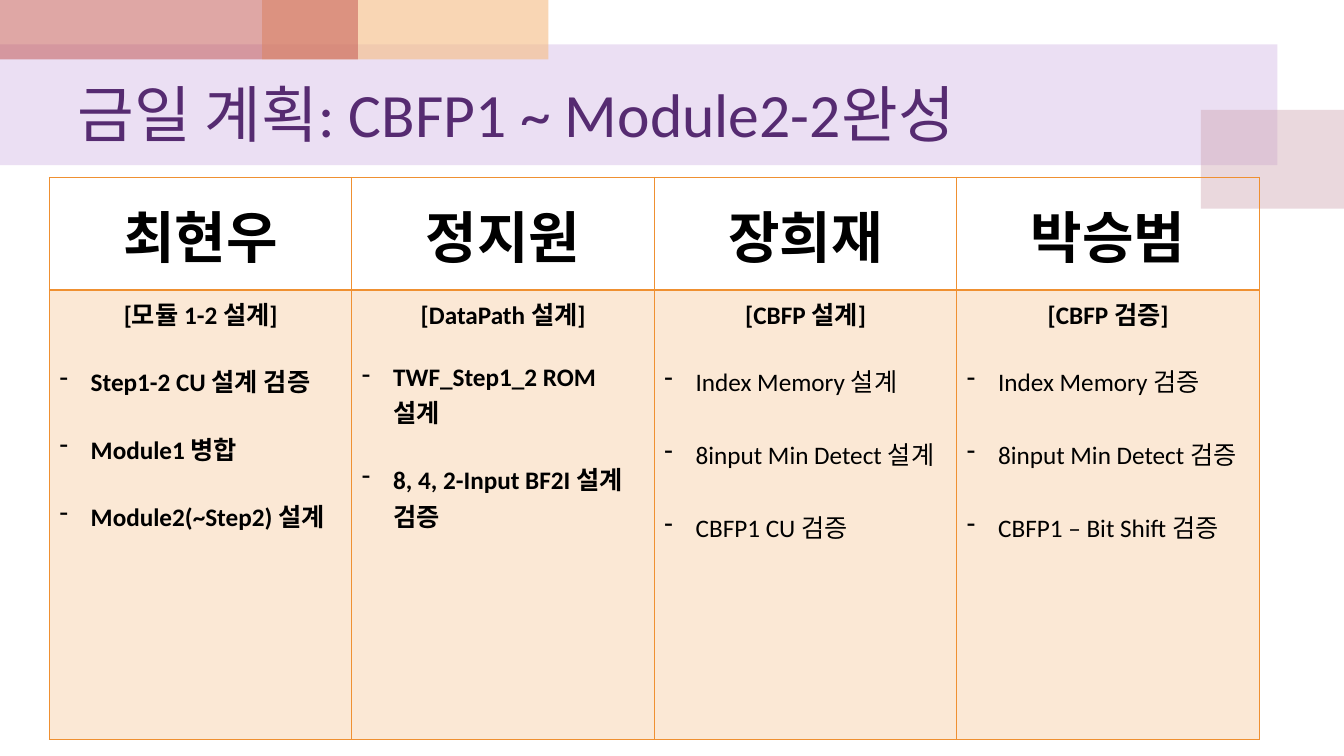
from lxml.etree import SubElement
from pptx import Presentation
from pptx.dml.color import RGBColor
from pptx.enum.shapes import MSO_SHAPE
from pptx.enum.text import MSO_ANCHOR, PP_ALIGN
from pptx.oxml import parse_xml
from pptx.oxml.ns import nsdecls, qn
from pptx.util import Inches, Pt

TITLE = "금일 계획: CBFP1 ~ Module2-2완성"
PLANS = [
    {"name": "최현우", "topic": "[모듈 1-2 설계]", "bold": True, "gap": 22,
     "tasks": ["Step1-2 CU 설계 검증", "Module1 병합", "Module2(~Step2) 설계"]},
    {"name": "정지원", "topic": "[DataPath 설계]", "bold": True, "gap": 22,
     "tasks": ["TWF_Step1_2 ROM 설계", "8, 4, 2-Input BF2I 설계 검증"]},
    {"name": "장희재", "topic": "[CBFP 설계]", "bold": False, "gap": 26,
     "tasks": ["Index Memory 설계", "8input Min Detect 설계", "CBFP1 CU 검증"]},
    {"name": "박승범", "topic": "[CBFP 검증]", "bold": False, "gap": 26,
     "tasks": ["Index Memory 검증", "8input Min Detect 검증", "CBFP1 – Bit Shift 검증"]},
]

FONT = "Calibri"
BLACK = RGBColor(0x00, 0x00, 0x00)
PURPLE = RGBColor(0x56, 0x2B, 0x71)
LAVENDER = RGBColor(0xBF, 0x98, 0xD8)
PINK = RGBColor(0xCC, 0x9E, 0xAC)
PEACH = RGBColor(0xF5, 0xBC, 0x83)
RED = RGBColor(0xC0, 0x50, 0x4D)
ORANGE = RGBColor(0xEF, 0x90, 0x31)

BANDS = [
    (0, 0.44, 12.67, 1.2, LAVENDER, 30),
    (11.91, 1.09, 1.43, 0.98, PINK, 40),
    (2.6, 0, 2.84, 0.59, PEACH, 60),
    (0, 0, 3.55, 0.59, RED, 50),
]
ROW_HEIGHTS = [1.12, 4.46]
COLUMN_WIDTH = 3
TASK_INDENT = Inches(0.31)
FIRST_GAP = 22


def fill_translucent(fill, color, percent):
    fill.solid()
    fill.fore_color.rgb = color
    for color_element in fill._xPr.iter(qn("a:srgbClr")):
        SubElement(color_element, qn("a:alpha"), val=str(percent * 1000))


def set_font(paragraph, size, color, bold):
    paragraph.font.name = FONT
    paragraph.font.size = Pt(size)
    paragraph.font.color.rgb = color
    paragraph.font.bold = bold


def set_borders(cell, bottom, top):
    properties = cell._tc.get_or_add_tcPr()
    for index, (side, width) in enumerate(zip("LRTB", (1, 1, top, bottom))):
        properties.insert(index, parse_xml(
            f'<a:ln{side} {nsdecls("a")} w="{Pt(width)}">'
            f'<a:solidFill><a:srgbClr val="{ORANGE}"/></a:solidFill></a:ln{side}>'))


def add_task(frame, task, gap, bold):
    paragraph = frame.add_paragraph()
    paragraph.text = task
    paragraph.space_before = Pt(gap)
    properties = paragraph._p.get_or_add_pPr()
    properties.set("marL", str(TASK_INDENT))
    properties.set("indent", str(-TASK_INDENT))
    SubElement(properties, qn("a:buChar"), char="-")
    set_font(paragraph, 18, BLACK, bold)


def fill_name(cell, name):
    cell.text = name
    cell.vertical_anchor = MSO_ANCHOR.MIDDLE
    cell.fill.background()
    paragraph = cell.text_frame.paragraphs[0]
    paragraph.alignment = PP_ALIGN.CENTER
    set_font(paragraph, 40, BLACK, True)
    set_borders(cell, bottom=2, top=1)


def fill_plan(cell, plan):
    cell.text = plan["topic"]
    fill_translucent(cell.fill, ORANGE, 20)
    paragraph = cell.text_frame.paragraphs[0]
    paragraph.alignment = PP_ALIGN.CENTER
    set_font(paragraph, 18, BLACK, True)
    for index, task in enumerate(plan["tasks"]):
        gap = plan["gap"] if index else FIRST_GAP
        add_task(cell.text_frame, task, gap, plan["bold"])
    set_borders(cell, bottom=1, top=2)


def add_bands(slide):
    for left, top, width, height, color, opacity in BANDS:
        band = slide.shapes.add_shape(
            MSO_SHAPE.RECTANGLE, Inches(left), Inches(top), Inches(width), Inches(height))
        band.shadow.inherit = False
        band.line.fill.background()
        fill_translucent(band.fill, color, opacity)


def add_title(slide):
    title = slide.shapes.title
    title.left, title.top = Inches(0.67), Inches(0.59)
    title.width, title.height = Inches(12), Inches(1.05)
    title.text_frame.text = TITLE
    title.text_frame.vertical_anchor = MSO_ANCHOR.MIDDLE
    paragraph = title.text_frame.paragraphs[0]
    paragraph.alignment = PP_ALIGN.LEFT
    set_font(paragraph, 44, PURPLE, False)
    title.element.getparent().append(title.element)


def add_plan_table(slide):
    table = slide.shapes.add_table(
        len(ROW_HEIGHTS), len(PLANS), Inches(0.49), Inches(1.76),
        Inches(COLUMN_WIDTH * len(PLANS)), Inches(sum(ROW_HEIGHTS))).table
    table.first_row = False
    table.horz_banding = False
    for row, height in zip(table.rows, ROW_HEIGHTS):
        row.height = Inches(height)
    for column, plan in enumerate(PLANS):
        table.columns[column].width = Inches(COLUMN_WIDTH)
        fill_name(table.cell(0, column), plan["name"])
        fill_plan(table.cell(1, column), plan)


def main():
    presentation = Presentation()
    presentation.slide_width = Inches(13.33)
    presentation.slide_height = Inches(7.5)
    slide = presentation.slides.add_slide(presentation.slide_layouts[5])
    add_bands(slide)
    add_title(slide)
    add_plan_table(slide)
    presentation.save("out.pptx")


if __name__ == "__main__":
    main()
